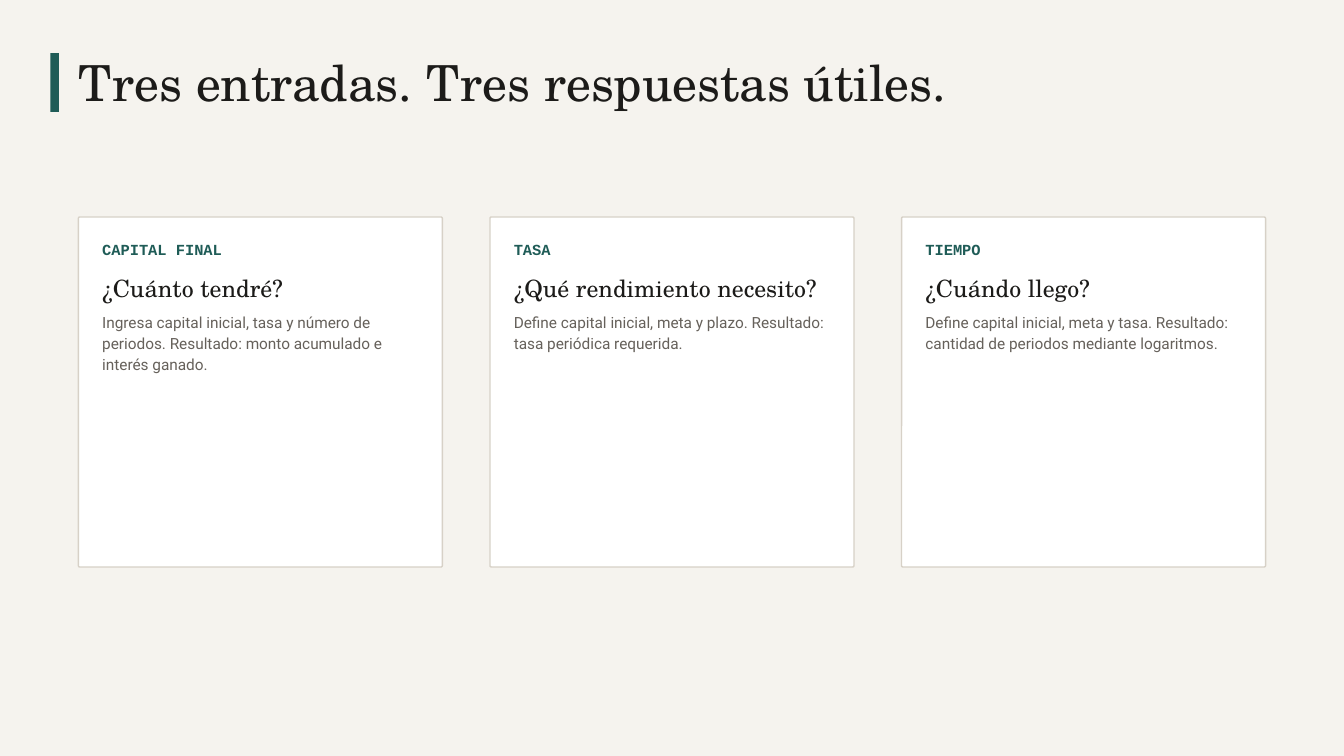
import pptx
import pptx.dml.color
import pptx.enum.shapes
import pptx.enum.text
import pptx.util
from dataclasses import dataclass

SHAPE = pptx.enum.shapes.MSO_SHAPE
FIT = pptx.enum.text.MSO_AUTO_SIZE.SHAPE_TO_FIT_TEXT


@dataclass(frozen=True)
class Type:
    face: str
    size: float
    lead: float
    color: str
    bold: bool = False


class Theme:
    paper = "F5F3EE"
    accent = "1F5C57"
    panel = "FFFFFF"
    border = "D7D1C7"
    ink = "1C1B19"
    muted = "66615B"
    title = Type("TeX Gyre Schola", 53.2, 55.9, ink)
    label = Type("Courier New", 16.5, 23.1, accent, True)
    head = Type("TeX Gyre Schola", 25.5, 35.7, ink)
    body = Type("Roboto", 16.5, 22.3, muted)


def px(n):
    return pptx.util.Emu(n * 9525)


def rgb(code):
    return pptx.dml.color.RGBColor.from_string(code)


class Deck:
    """Draws styled elements on the current slide, measured in px."""

    def __init__(self, theme):
        self.theme = theme
        self.file = pptx.Presentation()
        self.file.slide_width, self.file.slide_height = px(1920), px(1080)
        self.slide = self.file.slides.add_slide(self.file.slide_layouts[5])
        fill = self.slide.background.fill
        fill.solid()
        fill.fore_color.rgb = rgb(theme.paper)

    def style(self, box, text, type):
        frame = box.text_frame
        frame.text = text
        frame.word_wrap = True
        frame.auto_size = FIT
        frame.vertical_anchor = pptx.enum.text.MSO_ANCHOR.TOP
        frame.margin_left = frame.margin_right = 0
        frame.margin_top = frame.margin_bottom = 0
        para = frame.paragraphs[0]
        para.alignment = pptx.enum.text.PP_ALIGN.LEFT
        para.line_spacing = pptx.util.Pt(type.lead)
        font = para.runs[0].font
        font.name = type.face
        font.size = pptx.util.Pt(type.size)
        font.bold = type.bold
        font.color.rgb = rgb(type.color)

    def title(self, text, x, y, w, h):
        box = self.slide.shapes.title
        box.left, box.top, box.width, box.height = map(px, (x, y, w, h))
        self.style(box, text, self.theme.title)

    def text(self, text, type, x, y, w, h):
        box = self.slide.shapes.add_textbox(*map(px, (x, y, w, h)))
        self.style(box, text, type)

    def rect(self, kind, color, x, y, w, h):
        box = self.slide.shapes.add_shape(kind, *map(px, (x, y, w, h)))
        box.shadow.inherit = False
        box.fill.solid()
        box.fill.fore_color.rgb = rgb(color)
        box.line.fill.background()
        return box

    def card(self, x, y, label, head, body):
        panel = self.rect(SHAPE.ROUNDED_RECTANGLE, self.theme.panel, x, y, 520, 500)
        panel.adjustments[0] = 2 / 500
        panel.line.color.rgb = rgb(self.theme.border)
        panel.line.width = pptx.util.Pt(1.5)
        rows = (
            (label, self.theme.label, 29, 29),
            (head, self.theme.head, 74, 44),
            (body, self.theme.body, 134, 57),
        )
        for text, type, drop, h in rows:
            self.text(text, type, x + 34, y + drop, 452, h)


CARDS = (
    ("CAPITAL FINAL", "¿Cuánto tendré?",
     "Ingresa capital inicial, tasa y número de periodos. "
     "Resultado: monto acumulado e interés ganado."),
    ("TASA", "¿Qué rendimiento necesito?",
     "Define capital inicial, meta y plazo. "
     "Resultado: tasa periódica requerida."),
    ("TIEMPO", "¿Cuándo llego?",
     "Define capital inicial, meta y tasa. "
     "Resultado: cantidad de periodos mediante logaritmos."),
)


def main():
    deck = Deck(Theme())
    deck.title("Tres entradas. Tres respuestas útiles.", 112, 84, 1250, 77)
    deck.rect(SHAPE.RECTANGLE, deck.theme.accent, 72, 76, 12, 84)
    for i, card in enumerate(CARDS):
        deck.card(112 + i * 588, 310, *card)
    deck.file.save("out.pptx")


if __name__ == "__main__":
    main()
